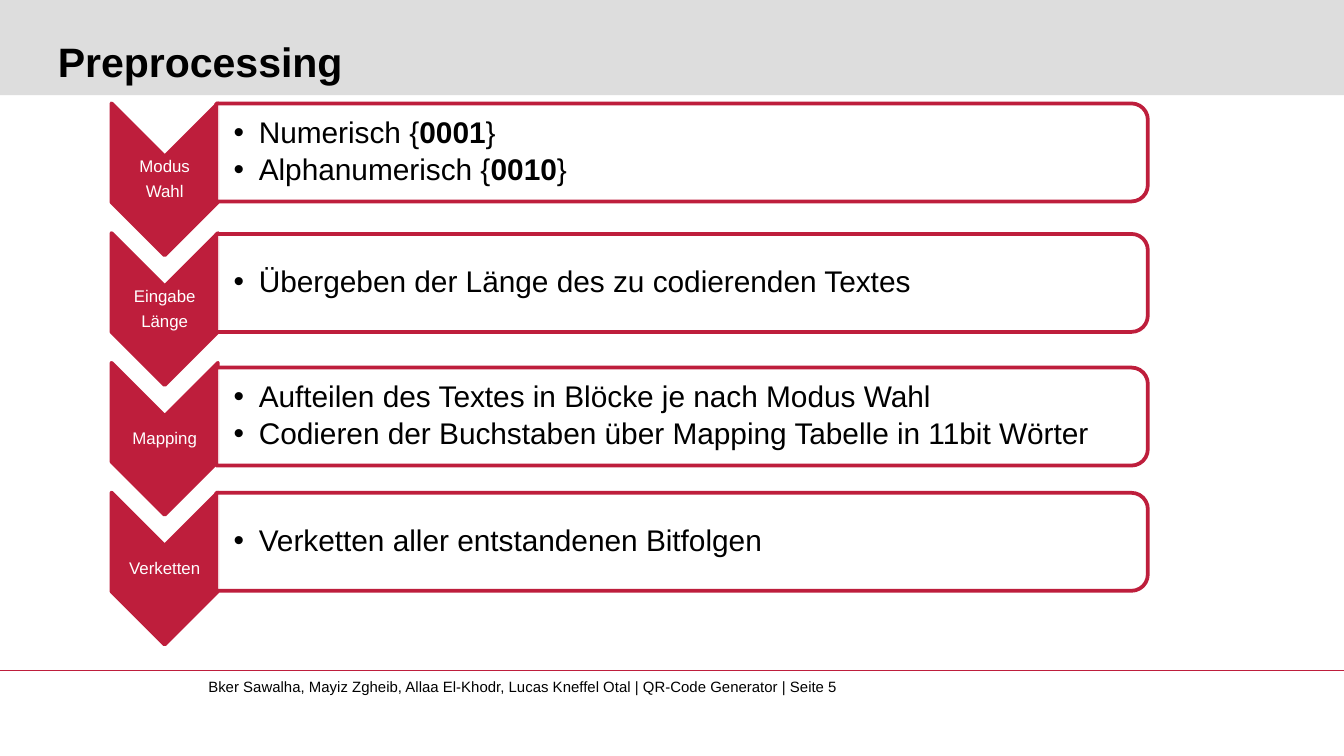
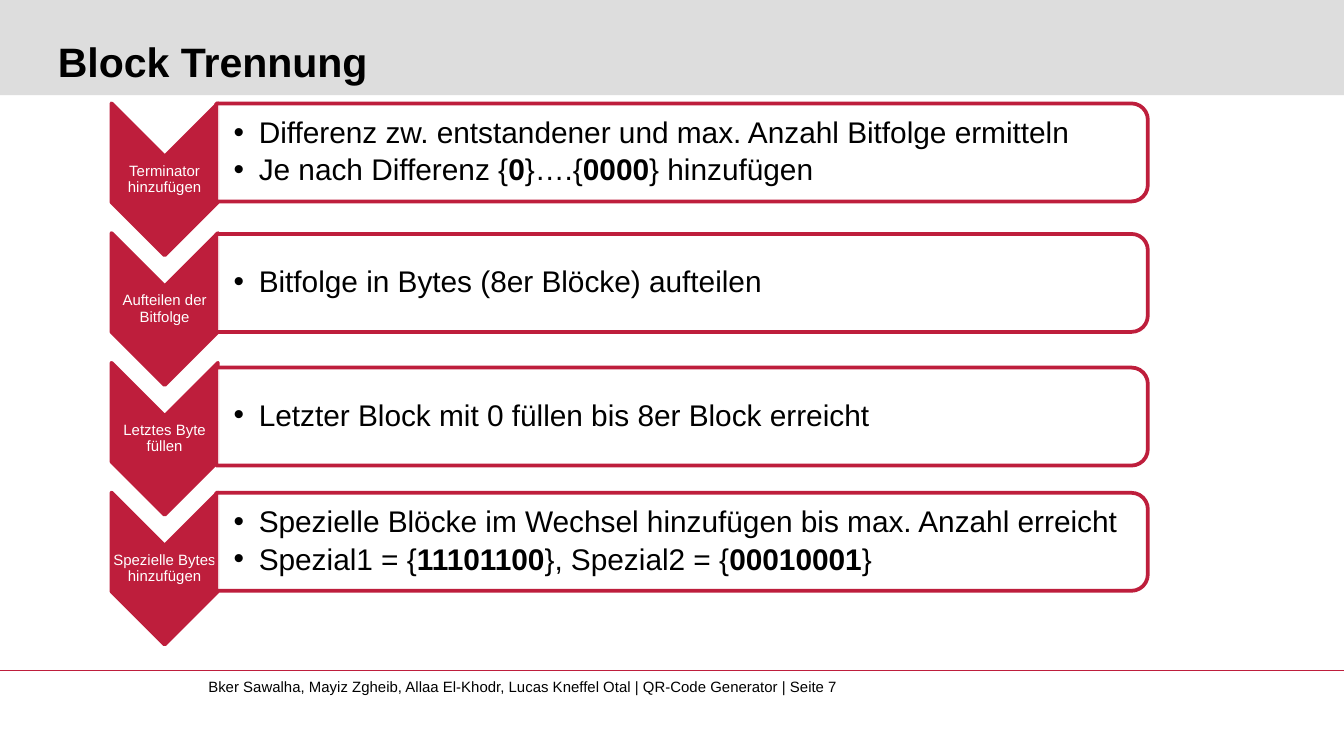
from dataclasses import dataclass
from lxml.etree import SubElement
from pptx import Presentation
from pptx.dml.color import RGBColor
from pptx.enum.shapes import MSO_CONNECTOR, MSO_SHAPE
from pptx.enum.text import MSO_ANCHOR, MSO_AUTO_SIZE, PP_ALIGN
from pptx.oxml.ns import qn
from pptx.util import Pt


@dataclass(frozen=True)
class Theme:
    font: str = "Arial"
    red: RGBColor = RGBColor(0xBE, 0x1E, 0x3C)
    grey: RGBColor = RGBColor(0xDD, 0xDD, 0xDD)
    white: RGBColor = RGBColor(255, 255, 255)
    black: RGBColor = RGBColor(0, 0, 0)
    title: float = 22
    body: float = 16
    foot: float = 8


look = Theme()
authors = "Bker Sawalha, Mayiz Zgheib, Allaa El-Khodr, Lucas Kneffel Otal"

# Page: title, page number, label size, steps (label lines, bullets); *bold*
pages = [
    ("Preprocessing", 5, 9, [
        (["Modus", "Wahl"],
         ["Numerisch {*0001*}", "Alphanumerisch {*0010*}"]),
        (["Eingabe", "Länge"],
         ["Übergeben der Länge des zu codierenden Textes"]),
        (["Mapping"],
         ["Aufteilen des Textes in Blöcke je nach Modus Wahl",
          "Codieren der Buchstaben über Mapping Tabelle in 11bit Wörter"]),
        (["Verketten"],
         ["Verketten aller entstandenen Bitfolgen"]),
    ]),
    ("Block Trennung", 7, 8, [
        (["Terminator hinzufügen"],
         ["Differenz zw. entstandener und max. Anzahl Bitfolge ermitteln",
          "Je nach Differenz {*0*}….{*0000*} hinzufügen"]),
        (["Aufteilen der Bitfolge"],
         ["Bitfolge in Bytes (8er Blöcke) aufteilen"]),
        (["Letztes Byte füllen"],
         ["Letzter Block mit 0 füllen bis 8er Block erreicht"]),
        (["Spezielle Bytes hinzufügen"],
         ["Spezielle Blöcke im Wechsel hinzufügen bis max. Anzahl erreicht",
          "Spezial1 = {*11101100*}, Spezial2 = {*00010001*}"]),
    ]),
]

# Step layout
chev_x, chev_y, chev_gap = 88.2, 96.1, 69.5
chev_w, chev_h = 81.4, 57
card_x, card_w, card_h = 365.4, 52.5, 499
card_mid = [81.7, 151.6, 223.2, 290.3]


def write(shape, lines, size, color, anchor, pad=(0, 0, 0, 0)):
    """Fill a text frame; every second part between stars is bold."""
    frame = shape.text_frame
    frame.word_wrap = True
    frame.auto_size = MSO_AUTO_SIZE.NONE
    frame.vertical_anchor = anchor
    (frame.margin_left, frame.margin_top,
     frame.margin_right, frame.margin_bottom) = map(Pt, pad)
    for i, line in enumerate(lines):
        para = frame.add_paragraph() if i else frame.paragraphs[0]
        para.alignment = PP_ALIGN.LEFT
        for j, part in enumerate(line.split("*")):
            run = para.add_run()
            run.text = part
            run.font.name = look.font
            run.font.size = Pt(size)
            run.font.bold = j % 2 == 1
            run.font.color.rgb = color
    return frame.paragraphs


def draw(slide, kind, mid_x, mid_y, wide, high, fill, turn=0):
    """Add a plain preset shape around its centre."""
    shape = slide.shapes.add_shape(
        kind, Pt(mid_x - wide / 2), Pt(mid_y - high / 2), Pt(wide), Pt(high))
    shape.rotation = turn
    shape.shadow.inherit = False
    shape.fill.solid()
    shape.fill.fore_color.rgb = fill
    if turn:
        shape.line.color.rgb = look.red
        shape.line.width = Pt(2)
    else:
        shape.line.fill.background()
    return shape


deck = Presentation()
deck.slide_width, deck.slide_height = Pt(720), Pt(405)

for name, page, small, steps in pages:
    slide = deck.slides.add_slide(deck.slide_layouts[5])

    # Footer
    rule = slide.shapes.add_connector(
        MSO_CONNECTOR.STRAIGHT, Pt(0), Pt(359.2), Pt(720), Pt(359.2))
    rule.line.color.rgb = look.red
    rule.line.width = Pt(0.75)
    SubElement(rule.element.spPr, qn("a:effectLst"))
    foot = slide.shapes.add_textbox(Pt(111.6), Pt(363), Pt(350.6), Pt(28.8))
    write(foot, [f"{authors} | QR-Code Generator | Seite {page}"],
          look.foot, look.black, MSO_ANCHOR.TOP)

    # Band, with the title in front of it
    draw(slide, MSO_SHAPE.RECTANGLE, 360, 25.5, 720, 51, look.grey)
    title = slide.shapes.title
    title.element.getparent().append(title.element)
    title.left, title.top = Pt(31), Pt(4.3)
    title.width, title.height = Pt(659.5), Pt(41.8)
    write(title, [f"*{name}*"], look.title, look.black, MSO_ANCHOR.BOTTOM)

    for i, (label, points) in enumerate(steps):
        # Chevron and label
        mid = chev_y + i * chev_gap
        draw(slide, MSO_SHAPE.CHEVRON, chev_x, mid, chev_w, chev_h,
             look.red, 90)
        tag = slide.shapes.add_textbox(
            Pt(chev_x - chev_h / 2), Pt(mid - 12.2), Pt(chev_h), Pt(24.4))
        for para in write(tag, label, small, look.white, MSO_ANCHOR.MIDDLE,
                          (0.7, 0.7, 0.7, 0.7)):
            para.alignment = PP_ALIGN.CENTER
            para.line_spacing = 0.9
            para.space_after = Pt(3.6)

        # Card and bullets
        mid = card_mid[i]
        card = draw(slide, MSO_SHAPE.ROUND_2_SAME_RECTANGLE, card_x, mid,
                    card_w, card_h, look.white, 90)
        tint = card.element.spPr.find(qn("a:solidFill"))[0]
        SubElement(tint, qn("a:alpha"), val="90000")
        text = slide.shapes.add_textbox(
            Pt(116.6), Pt(mid - 23.8), Pt(496), Pt(47.5))
        for para in write(text, points, look.body, look.black,
                          MSO_ANCHOR.MIDDLE, (8.6, 0.7, 0.7, 0.7)):
            para.level = 1
            para.line_spacing = 0.9
            para.space_after = Pt(2.8)
            props = para._p.get_or_add_pPr()
            props.set("marL", str(Pt(13.5)))
            props.set("indent", str(Pt(-13.5)))
            SubElement(props, qn("a:buFont"), typeface=look.font)
            SubElement(props, qn("a:buChar"), char="•")

deck.save("out.pptx")
